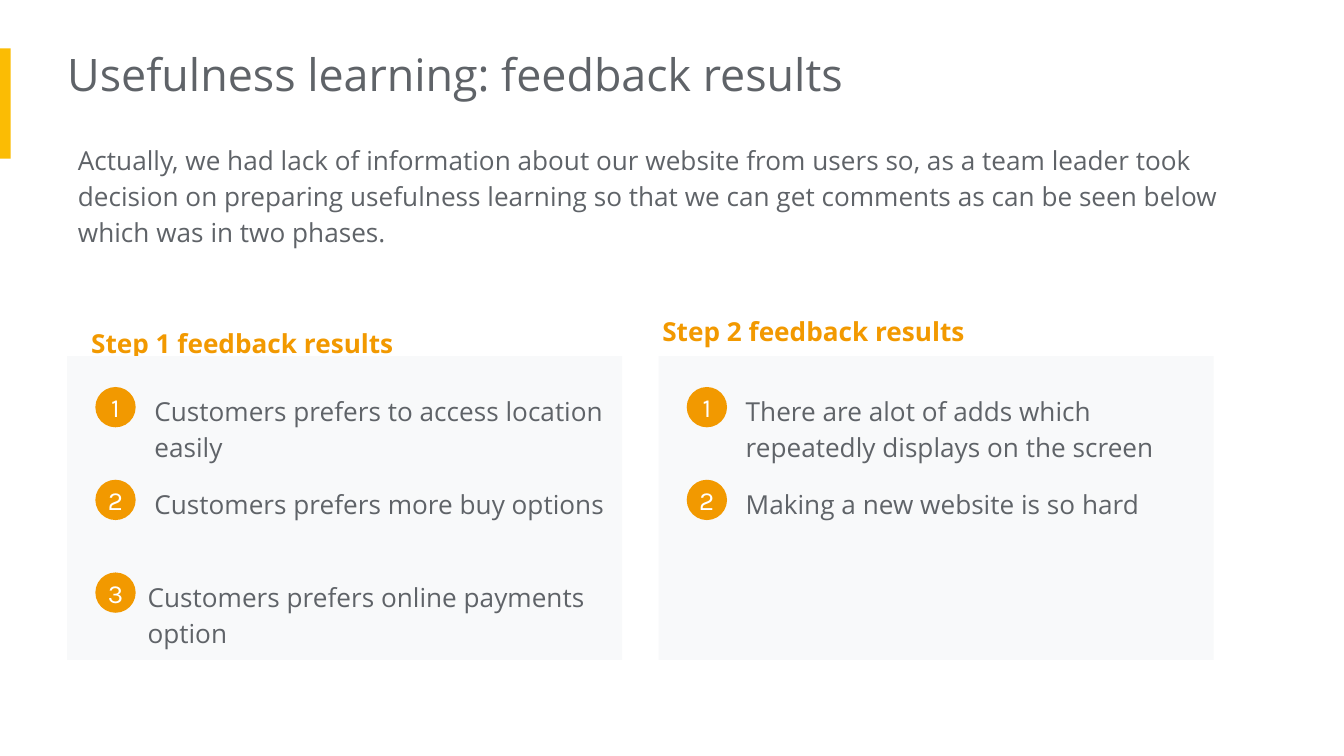
"""Build the feedback results slide with two panels of numbered comments."""
from dataclasses import dataclass

from lxml import etree
from pptx import Presentation
from pptx.dml.color import RGBColor
from pptx.enum import shapes, text
from pptx.oxml import ns
from pptx.util import Inches, Pt

COLORS = {
    "bar": "FBBC04",
    "accent": "F29900",
    "body": "5F6368",
    "panel": "F8F9FA",
    "white": "FFFFFF",
}
SLIDE_W = 10
SLIDE_H = SLIDE_W * 9 / 16
PANEL_TOP, PANEL_W, PANEL_H = 2.65, 4.13, 2.26
ITEM_TOP, ITEM_STEP, ITEM_W, ITEM_H = 2.81, 0.69, 3.65, 0.71
BADGE = 0.3


@dataclass
class Item:
    words: str
    indent: float = 0.55


@dataclass
class Panel:
    left: float
    heading: str
    heading_left: float
    heading_top: float
    items: list[Item]


PANELS = [
    Panel(4.9, "Step 2 feedback results", 4.83, 2.21, [
        Item("There are alot of adds which repeatedly displays on the screen"),
        Item("Making a new website is so hard"),
    ]),
    Panel(0.5, "Step 1 feedback results", 0.58, 2.3, [
        Item("Customers prefers to access location easily"),
        Item("Customers prefers more buy options"),
        Item("Customers prefers online payments option", 0.5),
    ]),
]


def rgb(name: str) -> RGBColor:
    return RGBColor.from_string(COLORS[name])


def write(sp, words: str, *, size=14, font="Open Sans", color="body", bold=False,
          align=text.PP_ALIGN.LEFT, anchor=text.MSO_ANCHOR.TOP, spacing=1.15,
          insets=(0.1, 0.1, 0.1, 0.1)) -> None:
    tf = sp.text_frame
    tf.word_wrap = True
    tf.auto_size = text.MSO_AUTO_SIZE.NONE
    tf.vertical_anchor = anchor
    tf.margin_left, tf.margin_top, tf.margin_right, tf.margin_bottom = map(Inches, insets)
    p = tf.paragraphs[0]
    p.alignment, p.line_spacing, p.space_before = align, spacing, Pt(0)
    r = p.add_run()
    r.text = words
    r.font.name, r.font.size, r.font.bold = font, Pt(size), bold
    r.font.color.rgb = rgb(color)


def place(sp, left: float, top: float, width: float, height: float) -> None:
    sp.left, sp.top, sp.width, sp.height = map(Inches, (left, top, width, height))


def add_block(s, kind, left: float, top: float, width: float, height: float, color: str):
    sp = s.shapes.add_shape(kind, *map(Inches, (left, top, width, height)))
    sp.shadow.inherit = False
    sp.fill.solid()
    sp.fill.fore_color.rgb = rgb(color)
    sp.line.fill.background()
    return sp


def add_text(s, left: float, top: float, width: float, height: float, words: str, **fmt) -> None:
    write(s.shapes.add_textbox(*map(Inches, (left, top, width, height))), words, **fmt)


def draw_panel(s, panel: Panel) -> None:
    add_text(s, panel.heading_left, panel.heading_top, ITEM_W, 0.44, panel.heading,
             color="accent", bold=True)
    add_block(s, shapes.MSO_SHAPE.RECTANGLE, panel.left, PANEL_TOP, PANEL_W, PANEL_H, "panel")
    for i, item in enumerate(panel.items):
        top = ITEM_TOP + i * ITEM_STEP
        add_text(s, panel.left + item.indent, top, ITEM_W, ITEM_H, item.words)
        badge = add_block(s, shapes.MSO_SHAPE.OVAL, panel.left + 0.21, top + 0.07,
                          BADGE, BADGE, "accent")
        write(badge, str(i + 1), font="Karla", color="white", align=text.PP_ALIGN.CENTER,
              anchor=text.MSO_ANCHOR.MIDDLE, spacing=1.0, insets=(0, 0, 0, 0))


def main() -> None:
    prs = Presentation()
    prs.slide_width, prs.slide_height = Inches(SLIDE_W), Inches(SLIDE_H)
    s = prs.slides.add_slide(prs.slide_layouts[1])
    title, intro = s.placeholders
    flush = (0, 0.1, 0.1, 0.1)

    add_block(s, shapes.MSO_SHAPE.RECTANGLE, 0, 0.36, 0.08, 0.82, "bar")
    place(title, 0.5, 0.25, 6.73, 0.61)
    write(title, "Usefulness learning: feedback results", size=24, spacing=1.0, insets=flush)

    place(intro, 0.58, 0.94, 8.61, 1.56)
    write(intro, "Actually, we had lack of information about our website from users so, "
          "as a team leader took decision on preparing usefulness learning so that we can "
          "get comments as can be seen below which was in two phases.", insets=flush)
    pPr = intro.text_frame.paragraphs[0]._p.get_or_add_pPr()
    pPr.set("marL", "0")
    pPr.set("indent", "0")
    etree.SubElement(pPr, ns.qn("a:buNone"))

    for panel in PANELS:
        draw_panel(s, panel)
    prs.save("out.pptx")


if __name__ == "__main__":
    main()
